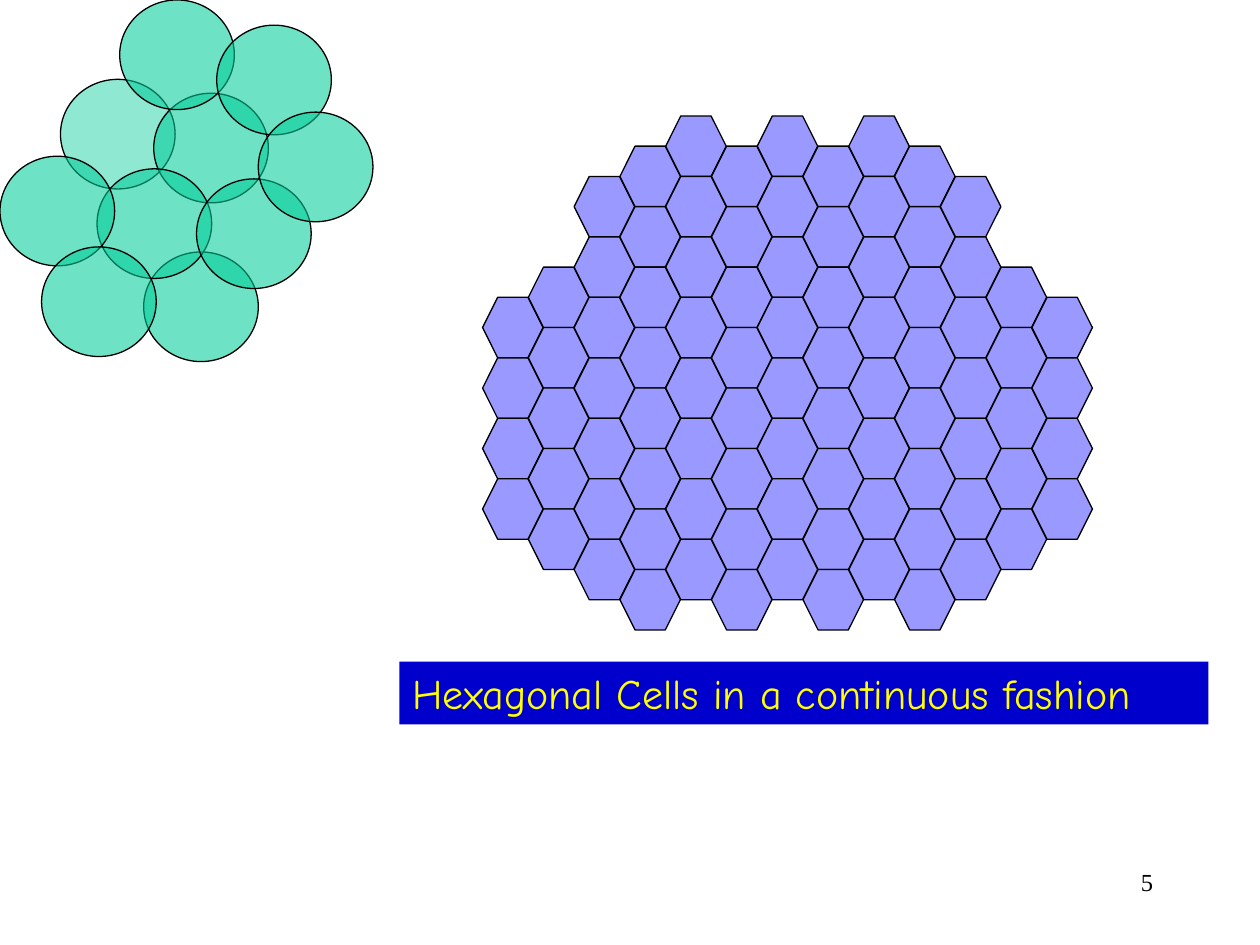
from lxml.etree import SubElement
from pptx import Presentation
from pptx.dml.color import RGBColor
from pptx.enum.shapes import MSO_SHAPE
from pptx.enum.text import MSO_ANCHOR, MSO_AUTO_SIZE, PP_ALIGN
from pptx.oxml.ns import qn
from pptx.util import Inches, Pt

CAPTION = "Hexagonal Cells in a continuous fashion"
PAGE_NUMBER = "5"

# One entry per column: first half-row, number of cells
HEXAGON_COLUMNS = [
    (6, 4), (5, 5), (2, 7), (1, 8), (0, 8), (1, 8), (0, 8),
    (1, 8), (0, 8), (1, 8), (2, 7), (5, 5), (6, 4),
]
# Left, top, opacity in percent, from back to front
CIRCLES = [
    (1.14, 2.00, 57), (0.48, 0.63, 44), (1.22, 0.74, 57), (0.77, 1.34, 57),
    (1.56, 1.42, 57), (0.00, 1.24, 57), (0.33, 1.96, 57), (0.95, 0.00, 57),
    (1.72, 0.20, 57), (2.05, 0.89, 57),
]

THEME = {
    "hexagon": "9999FF",
    "circle": "00CC99",
    "outline": "000000",
    "outline_width": 0.75,
    "banner": "0000CC",
    "caption": {"name": "Comic Neue", "size": Pt(24), "color": "FFFF00"},
    "page_number": {"name": "Times New Roman", "size": Pt(14), "color": "000000"},
}

GRID_LEFT, GRID_RIGHT, GRID_TOP = 3.83, 8.19, 0.92
HEXAGON_SIZE = 0.48
COLUMN_STEP = (GRID_RIGHT - GRID_LEFT) / (len(HEXAGON_COLUMNS) - 1)
CIRCLE_WIDTH, CIRCLE_HEIGHT = 0.91, 0.87


def add_cell(group, preset, left, top, width, height, color):
    cell = group.shapes.add_shape(
        preset, Inches(left), Inches(top), Inches(width), Inches(height))
    cell.shadow.inherit = False
    cell.fill.solid()
    cell.fill.fore_color.rgb = RGBColor.from_string(color)
    cell.line.color.rgb = RGBColor.from_string(THEME["outline"])
    cell.line.width = Pt(THEME["outline_width"])
    return cell


def set_opacity(shape, percent):
    color = shape.fill._xPr.find(qn("a:solidFill"))[0]
    SubElement(color, qn("a:alpha"), val=str(percent * 1000))


def write(shape, text, style, align):
    frame = shape.text_frame
    frame_format = {
        "text": text, "word_wrap": True, "auto_size": MSO_AUTO_SIZE.NONE,
        "vertical_anchor": MSO_ANCHOR.TOP,
    }
    for attribute, value in frame_format.items():
        setattr(frame, attribute, value)
    paragraph = frame.paragraphs[0]
    paragraph.alignment = align
    font = paragraph.runs[0].font
    for attribute in ("name", "size"):
        setattr(font, attribute, style[attribute])
    font.color.rgb = RGBColor.from_string(style["color"])


def add_hexagon_grid(slide):
    grid = slide.shapes.add_group_shape()
    for column, (first_half_row, count) in enumerate(HEXAGON_COLUMNS):
        left = GRID_LEFT + column * COLUMN_STEP
        for row in range(count):
            top = GRID_TOP + (first_half_row / 2 + row) * HEXAGON_SIZE
            hexagon = add_cell(grid, MSO_SHAPE.HEXAGON, left, top,
                               HEXAGON_SIZE, HEXAGON_SIZE, THEME["hexagon"])
            hexagon.adjustments[0] = 0.25


def add_circle_cluster(slide):
    cluster = slide.shapes.add_group_shape()
    for left, top, opacity in CIRCLES:
        circle = add_cell(cluster, MSO_SHAPE.OVAL, left, top,
                          CIRCLE_WIDTH, CIRCLE_HEIGHT, THEME["circle"])
        set_opacity(circle, opacity)


def add_caption(slide):
    caption = slide.shapes.title
    place = {"left": 3.17, "top": 5.25, "width": 6.42, "height": 0.5}
    for attribute, value in place.items():
        setattr(caption, attribute, Inches(value))
    caption.fill.solid()
    caption.fill.fore_color.rgb = RGBColor.from_string(THEME["banner"])
    write(caption, CAPTION, THEME["caption"], PP_ALIGN.LEFT)


def add_page_number(slide):
    page_number = slide.shapes.add_textbox(
        Inches(7.17), Inches(6.83), Inches(2.08), Inches(0.5))
    write(page_number, PAGE_NUMBER, THEME["page_number"], PP_ALIGN.RIGHT)


def main():
    presentation = Presentation()
    presentation.slide_width = Inches(10)
    presentation.slide_height = Inches(7.5)
    title_only = presentation.slide_layouts[5]
    slide = presentation.slides.add_slide(title_only)
    add_page_number(slide)
    add_hexagon_grid(slide)
    add_caption(slide)
    add_circle_cluster(slide)
    presentation.save("out.pptx")


if __name__ == "__main__":
    main()
